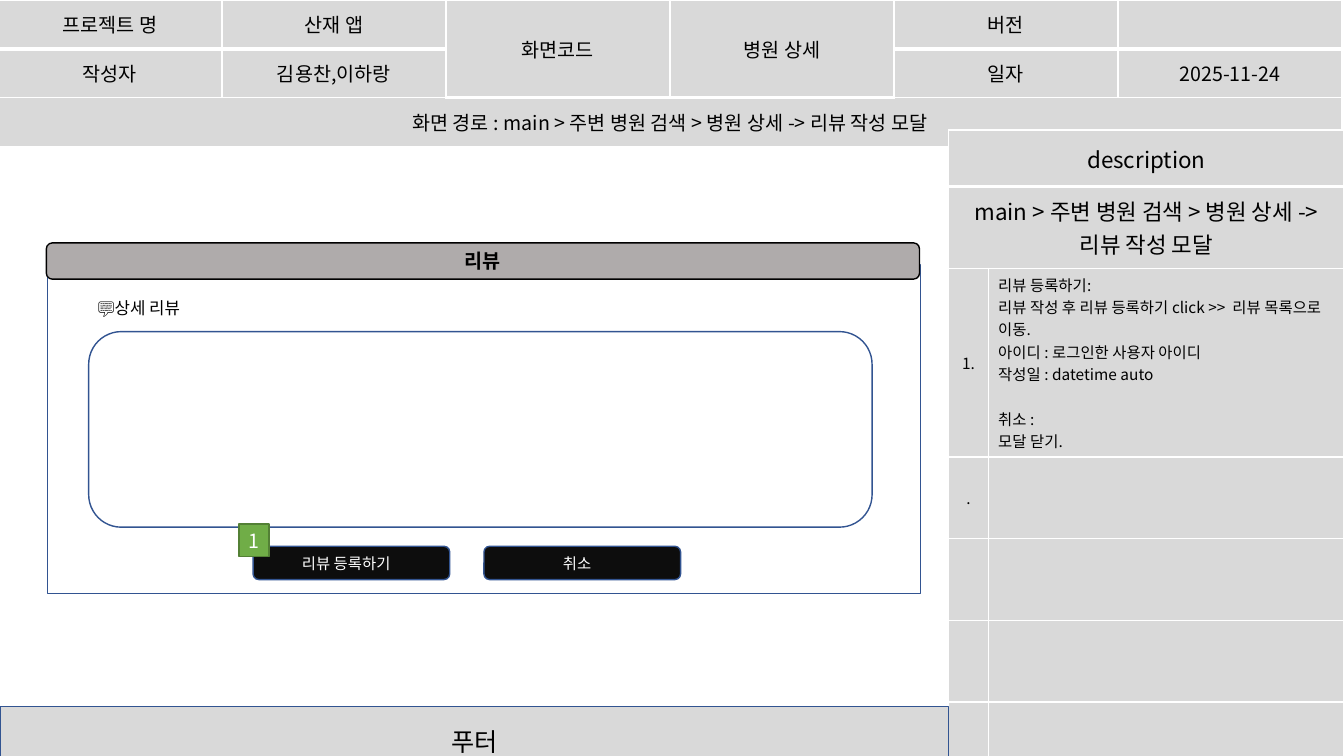
"""Build the review dialog screen plan slide."""
from lxml import etree
from pptx import Presentation
from pptx import util as u
from pptx.dml.color import RGBColor
from pptx.enum import shapes, text
from pptx.oxml.ns import qn

WIDE, HIGH = u.Inches(13.33), u.Inches(7.5)
FONT = "Noto Sans CJK KR"
HUE = {"white": "FFFFFF", "black": "000000", "grey": "D9D9D9", "bar": "AFABAB",
       "ink": "0D0D0D", "blue": "325491", "green": "70AD47", "moss": "538035"}
RECT = shapes.MSO_SHAPE.RECTANGLE
ROUND = shapes.MSO_SHAPE.ROUNDED_RECTANGLE
LEFT, MID = text.PP_ALIGN.LEFT, text.PP_ALIGN.CENTER
TOP, CORE = text.MSO_ANCHOR.TOP, text.MSO_ANCHOR.MIDDLE
SIDE = 70.59
ROUTE = "main > 주변 병원 검색 > 병원 상세 -> 리뷰 작성 모달"
NOTE = "\n".join(["리뷰 등록하기:", "리뷰 작성 후 리뷰 등록하기 click >>  리뷰 목록으로 이동.",
                  "아이디 : 로그인한 사용자 아이디", "작성일 : datetime auto",
                  "취소 :", "모달 닫기."])
HEAD = [["프로젝트 명", "산재 앱", "화면코드", "병원 상세", "버전", ""],
        ["작성자", "김용찬,이하랑", "", "", "일자", "2025-11-24"],
        ["화면 경로 : " + ROUTE, "", "", "", "", ""]]
DESC = [["description", ""], [ROUTE, ""], ["1.", NOTE], [".", ""]] + [["", ""]] * 4


def hue(name):
    """Return a named colour."""
    return RGBColor.from_string(HUE[name])


def col(share):
    """Turn a percentage of the slide's width into a length."""
    return u.Emu(round(WIDE * share / 100))


def row(share):
    """Turn a percentage of the slide's height into a length."""
    return u.Emu(round(HIGH * share / 100))


def area(left, top, wide, high):
    """Turn percentages into left, top, width and height."""
    return col(left), row(top), col(wide), row(high)


def style(frame, size, tint="black", align=MID, bold=False):
    """Format every paragraph and run of a text frame."""
    for par in frame.paragraphs:
        par.alignment = align
        for run in par.runs:
            font = run.font
            font.name, font.size, font.bold = FONT, u.Pt(size), bold
            font.color.rgb = hue(tint)
            etree.SubElement(font._element, qn("a:ea"), typeface=FONT)
        if not par.runs:
            etree.SubElement(par._p, qn("a:endParaRPr"), sz=str(size * 100))


def block(slide, kind, box, fill, edge, words="", size=11, **look):
    """Add a filled and outlined shape with text."""
    item = slide.shapes.add_shape(kind, *area(*box))
    item.shadow.inherit = False
    item.fill.solid()
    item.fill.fore_color.rgb = hue(fill)
    item.line.color.rgb = hue(edge)
    item.line.width = u.Pt(1)
    frame = item.text_frame
    frame.text = words
    frame.vertical_anchor = CORE
    style(frame, size, **look)
    return item


def edges(cell, low):
    """Draw the white borders of a cell."""
    props = cell._tc.get_or_add_tcPr()
    for tag, wide in (("lnL", 1), ("lnR", 1), ("lnT", 1), ("lnB", low)):
        line = etree.SubElement(props, qn("a:" + tag), w=str(u.Pt(wide)))
        fill = etree.SubElement(line, qn("a:solidFill"))
        etree.SubElement(fill, qn("a:srgbClr"), val=HUE["white"])


def grid(slide, box, cols, rows, cells, sizes, joins):
    """Add a grey table with merged cells and return it."""
    item = slide.shapes.add_table(len(rows), len(cols), *area(*box))
    table = item.table
    for part, share in zip(table.columns, cols):
        part.width = col(share)
    for part, share in zip(table.rows, rows):
        part.height = row(share)
    item.height = row(box[3])
    for start, end in joins:
        table.cell(*start).merge(table.cell(*end))
    for r, line in enumerate(cells):
        for c, words in enumerate(line):
            cell = table.cell(r, c)
            edges(cell, 1 if r else 3)
            cell.fill.solid()
            cell.fill.fore_color.rgb = hue("grey")
            cell.vertical_anchor = CORE
            cell.text_frame.text = words
            style(cell.text_frame, sizes[r])
    return table


def header(slide):
    """Add the project table along the top."""
    table = grid(slide, (-0.15, 0, 100, 20.27), [100 / 6] * 6, [5.47] * 3, HEAD, [14] * 3,
                 [((0, 2), (1, 2)), ((0, 3), (1, 3)), ((2, 0), (2, 5))])
    for cell in table.iter_cells():
        cell.margin_top = cell.margin_bottom = u.Inches(0.1)
        cell.vertical_anchor = CORE if cell.is_merge_origin else TOP
    table.cell(2, 0).vertical_anchor = TOP


def notes(slide):
    """Add the description table on the right."""
    table = grid(slide, (SIDE, 17.2, 100 - SIDE, 92.93), [2.93, 26.48], [7.47] + [10.8] * 7,
                 DESC, [16] * 2 + [11] * 6, [((0, 0), (0, 1)), ((1, 0), (1, 1))])
    cell = table.cell(2, 1)
    cell.vertical_anchor = TOP
    for par in cell.text_frame.paragraphs:
        par.alignment = LEFT
    cell.text_frame.paragraphs[4].space_before = u.Pt(16)


def modal(slide):
    """Add the dialog's outline and its field label."""
    frame = block(slide, RECT, (3.53, 35.07, 64.97, 43.47), "white", "blue",
                  "💬상세 리뷰", 12, align=LEFT).text_frame
    frame.vertical_anchor = TOP
    frame.margin_left, frame.margin_top = col(3.75), row(4.27)


def main():
    """Build and save the slide."""
    deck = Presentation()
    deck.slide_width, deck.slide_height = WIDE, HIGH
    slide = deck.slides.add_slide(deck.slide_layouts[6])
    modal(slide)
    header(slide)
    notes(slide)
    block(slide, RECT, (0, 93.47, SIDE, 9.33), "grey", "blue", "푸터", 18)
    block(slide, ROUND, (3.45, 32.13, 64.97, 4.8), "bar", "black", "리뷰", 14, bold=True)
    for k, words in enumerate(["리뷰 등록하기", "취소"]):
        key = block(slide, ROUND, (18.83 + 17.18 * k, 72.27, 14.63, 4.4), "ink", "blue",
                    words, tint="white")
        key.text_frame.margin_right = u.Inches(0.2)
    block(slide, ROUND, (6.6, 43.87, 58.29, 25.87), "white", "blue")
    block(slide, RECT, (17.78, 69.33, 2.25, 4.27), "green", "moss", "1", 14, tint="white")
    deck.save("out.pptx")


if __name__ == "__main__":
    main()
